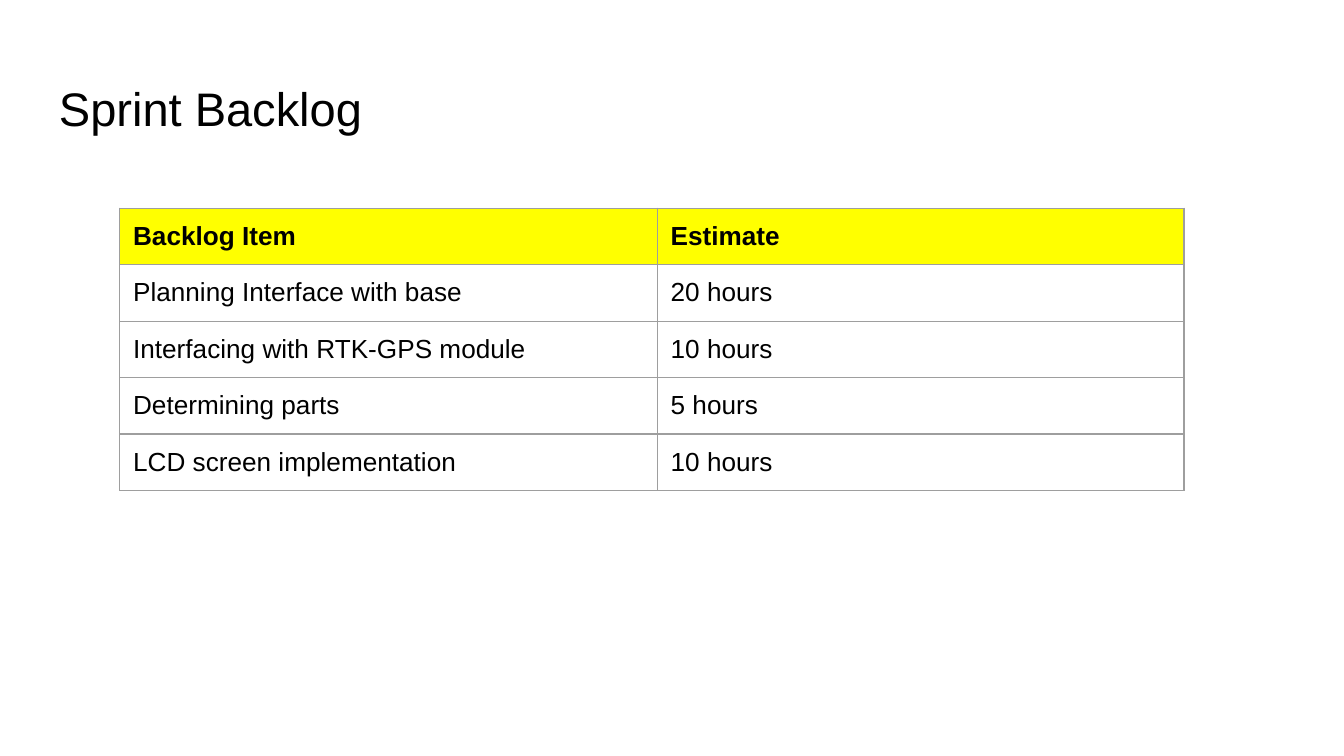
"""Build the sprint backlog slide: a title above a two-column table."""
from lxml import etree
from pptx import Presentation
from pptx.dml.color import RGBColor
from pptx.enum.text import MSO_ANCHOR
from pptx.oxml.ns import qn
from pptx.util import Inches, Pt

MIDDLE = MSO_ANCHOR.MIDDLE
TOP = MSO_ANCHOR.TOP

TITLE = "Sprint Backlog"
BACKLOG = [
    ("Backlog Item", "Estimate"),
    ("Planning Interface with base", "20 hours"),
    ("Interfacing with RTK-GPS module", "10 hours"),
    ("Determining parts", "5 hours"),
    ("LCD screen implementation", "10 hours"),
]
COLUMN_WIDTHS = (4, 3.92)
ROW_HEIGHT = 0.42
FONT = "Arial"
BLACK, YELLOW, GREY = "000000", "FFFF00", "9E9E9E"


def color(value):
    return RGBColor.from_string(value)


def write_text(frame, text, size=14, bold=False):
    paragraph = frame.paragraphs[0]
    run = paragraph.add_run()
    run.text = text
    run.font.name = FONT
    run.font.size = Pt(size)
    run.font.bold = bold
    run.font.color.rgb = color(BLACK)


def set_margins(target, bottom=0.1):
    target.margin_left = target.margin_right = target.margin_top = Inches(0.1)
    target.margin_bottom = Inches(bottom)


def add_borders(cell):
    properties = cell._tc.get_or_add_tcPr()
    for index, side in enumerate(("lnL", "lnR", "lnT", "lnB")):
        line = etree.Element(qn(f"a:{side}"), w=str(Pt(0.75)))
        fill = etree.SubElement(line, qn("a:solidFill"))
        etree.SubElement(fill, qn("a:srgbClr"), val=GREY)
        properties.insert(index, line)


def add_title(slide):
    shape = slide.shapes.add_textbox(Inches(0.34), Inches(0.49), Inches(9.32), Inches(0.63))
    frame = shape.text_frame
    frame.word_wrap = True
    frame.vertical_anchor = MIDDLE
    set_margins(frame)
    write_text(frame, TITLE, size=25.2)


def add_backlog(slide):
    table = slide.shapes.add_table(
        len(BACKLOG), len(COLUMN_WIDTHS), Inches(0.89), Inches(1.55),
        Inches(sum(COLUMN_WIDTHS)), Inches(ROW_HEIGHT * len(BACKLOG)),
    ).table
    table.horz_banding = False
    for column, width in zip(table.columns, COLUMN_WIDTHS):
        column.width = Inches(width)
    for row_index, (row, texts) in enumerate(zip(table.rows, BACKLOG)):
        row.height = Inches(ROW_HEIGHT)
        is_header = row_index == 0
        for cell, text in zip(row.cells, texts):
            set_margins(cell, bottom=0.08)
            cell.vertical_anchor = TOP
            write_text(cell.text_frame, text, bold=is_header)
            if is_header:
                cell.fill.solid()
                cell.fill.fore_color.rgb = color(YELLOW)
            else:
                cell.fill.background()
            add_borders(cell)


def main():
    presentation = Presentation()
    presentation.slide_width = Inches(10)
    presentation.slide_height = presentation.slide_width * 9 // 16
    slide = presentation.slides.add_slide(presentation.slide_layouts[6])
    add_title(slide)
    add_backlog(slide)
    presentation.save("out.pptx")


if __name__ == "__main__":
    main()
